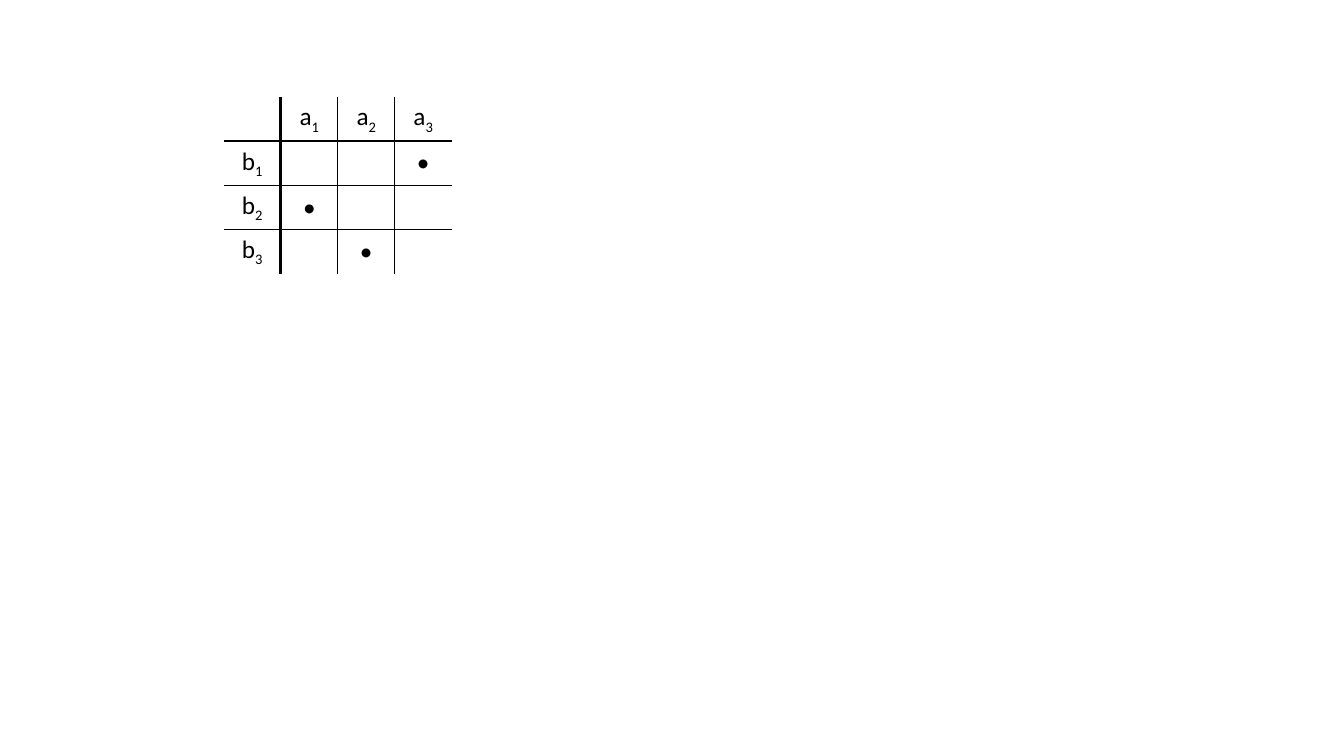
from pptx import Presentation
from pptx.dml.color import RGBColor
from pptx.enum.text import MSO_ANCHOR, PP_ALIGN
from pptx.oxml import parse_xml
from pptx.oxml.ns import nsdecls
from pptx.util import Inches, Pt

BLACK = "000000"
HEAVY, THIN = 2.25, 1


def color(hex_string):
    return RGBColor.from_string(hex_string)


def apply(target, values):
    for name, value in values.items():
        setattr(target, name, value)


class SlideBuilder:
    font = {"name": "Calibri", "size": Pt(18)}
    label_cell = {"vertical_anchor": MSO_ANCHOR.TOP}
    dot_cell = {"vertical_anchor": MSO_ANCHOR.MIDDLE} | {
        f"margin_{side}": Inches(0.04) for side in ("left", "right", "top", "bottom")}

    def __init__(self, slide):
        self.slide = slide

    def table(self, rows, columns, left, top, width, height):
        table = self.slide.shapes.add_table(
            rows, columns, Inches(left), Inches(top), Inches(width), Inches(height)).table
        apply(table, {"first_row": False, "horz_banding": False})
        return table

    def text(self, cell, base, subscript, cell_format):
        apply(cell, cell_format)
        paragraph = cell.text_frame.paragraphs[0]
        paragraph.alignment = PP_ALIGN.CENTER
        for content, baseline in ((base, 0), (subscript, -25000)):
            if content:
                run = paragraph.add_run()
                run.text = content
                apply(run.font, self.font)
                run.font.color.rgb = color(BLACK)
                run.font._element.set("baseline", str(baseline))

    def borders(self, cell, weights):
        properties = cell._tc.get_or_add_tcPr()
        for side in "LRTB":
            weight = weights[side]
            paint = (f'<a:solidFill><a:srgbClr val="{BLACK}"/></a:solidFill>'
                     if weight else "<a:noFill/>")
            properties.append(parse_xml(
                f'<a:ln{side} {nsdecls("a")} w="{int(Pt(weight))}">{paint}</a:ln{side}>'))
        cell.fill.background()


presentation = Presentation()
apply(presentation, {"slide_width": Inches(13.33), "slide_height": Inches(7.5)})
builder = SlideBuilder(presentation.slides.add_slide(presentation.slide_layouts[6]))

# Grid: open outside, heavy rules beside the labels, thin rules elsewhere
size = 4
rules = [0, HEAVY, THIN, THIN, 0]
relation = builder.table(size, size, 2.22, 0.96, 2.26, 1.6)
for row in range(size):
    for column in range(size):
        builder.borders(relation.cell(row, column), {
            "L": rules[column], "R": rules[column + 1],
            "T": rules[row], "B": rules[row + 1]})

# Labels of the columns and rows
for index in range(1, size):
    builder.text(relation.cell(0, index), "a", str(index), builder.label_cell)
    builder.text(relation.cell(index, 0), "b", str(index), builder.label_cell)

# Dots for the related pairs
for row, column in ((1, 3), (2, 1), (3, 2)):
    builder.text(relation.cell(row, column), "•", "", builder.dot_cell)

presentation.save("out.pptx")
